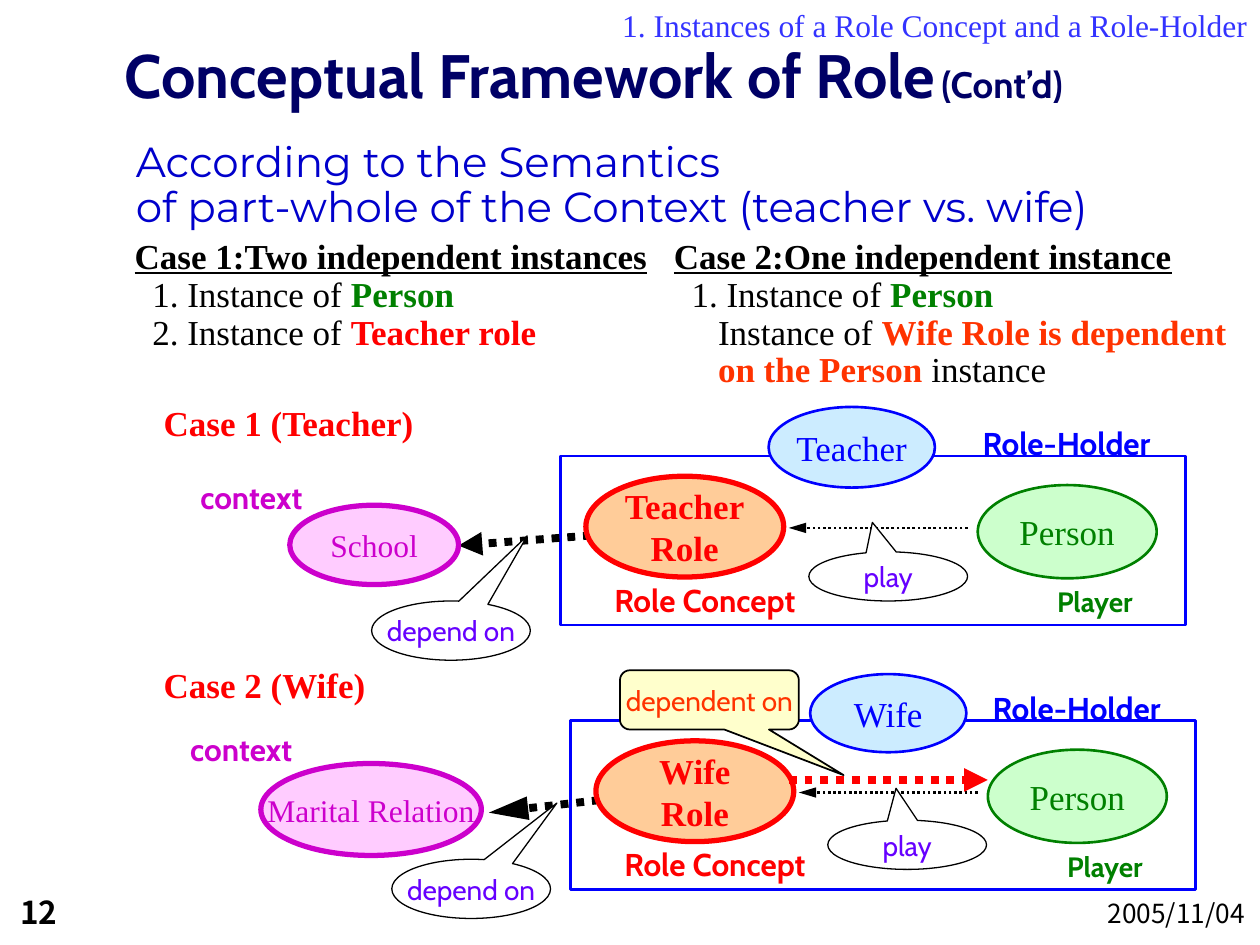
from lxml import etree
from pptx import Presentation
from pptx.dml.color import RGBColor
from pptx.enum import dml, shapes, text
from pptx.oxml import ns
from pptx.util import Inches, Pt

COLORS = {
    "black": "000000", "white": "FFFFFF", "title": "000066", "shadow": "808080",
    "heading": "0000CC", "section": "3333FF", "blue": "0000FF", "sky": "CCECFF",
    "red": "FF0000", "orange": "FF3300", "peach": "FFCC99",
    "green": "008000", "mint": "CCFFCC", "magenta": "CC00CC", "pink": "FFCCFF",
    "violet": "6600FF", "cream": "FFFFCC",
}
SERIF, SANS, HEADING, NUMBER = "Times New Roman", "Cabin", "Montserrat", "Noto Sans CJK JP"
MARGINS = (0.1, 0.05, 0.1, 0.05)
SHAPE = shapes.MSO_SHAPE
ALIGN = text.PP_ALIGN
MIDDLE = text.MSO_ANCHOR.MIDDLE


def rgb(name):
    return RGBColor.from_string(COLORS[name])


def add_run(paragraph, words, size, font, color, bold=False, underline=False):
    run = paragraph.add_run()
    run.text = words
    run.font.size = Pt(size)
    run.font.name = font
    run.font.bold = bold
    run.font.underline = underline
    run.font.color.rgb = rgb(color)
    return run


def format_frame(frame, margins=MARGINS, wrap=True, anchor=None):
    frame.word_wrap = wrap
    frame.auto_size = text.MSO_AUTO_SIZE.NONE
    frame.vertical_anchor = anchor or text.MSO_ANCHOR.TOP
    (frame.margin_left, frame.margin_top,
     frame.margin_right, frame.margin_bottom) = map(Inches, margins)


def add_text(slide, box, paragraphs, align=ALIGN.LEFT, spacing=None, **frame_options):
    """Each paragraph is (indent in inches, list of run settings)."""
    frame = slide.shapes.add_textbox(*map(Inches, box)).text_frame
    format_frame(frame, **frame_options)
    for index, (indent, runs) in enumerate(paragraphs):
        paragraph = frame.add_paragraph() if index else frame.paragraphs[0]
        paragraph.alignment = align
        paragraph.line_spacing = spacing
        if indent:
            paragraph._p.get_or_add_pPr().set("marL", str(Inches(indent)))
        for run in runs:
            add_run(paragraph, *run)


def add_node(slide, kind, box, fill, line, width, lines=(), style=(), adjustments=()):
    node = slide.shapes.add_shape(kind, *map(Inches, box))
    node.shadow.inherit = False
    for index, value in enumerate(adjustments):
        node.adjustments[index] = value
    if fill:
        node.fill.solid()
        node.fill.fore_color.rgb = rgb(fill)
    else:
        node.fill.background()
    node.line.color.rgb = rgb(line)
    node.line.width = Pt(width)
    format_frame(node.text_frame, wrap=False, anchor=MIDDLE)
    paragraph = node.text_frame.paragraphs[0]
    paragraph.alignment = ALIGN.CENTER
    for index, words in enumerate(lines):
        if index:
            paragraph.add_line_break()
        add_run(paragraph, words, *style)


def add_arrow(slide, start, end, color, width, length="med"):
    arrow = slide.shapes.add_connector(
        shapes.MSO_CONNECTOR.STRAIGHT, *map(Inches, (*start, *end)))
    arrow.line.color.rgb = rgb(color)
    arrow.line.width = Pt(width)
    arrow.line.dash_style = dml.MSO_LINE.ROUND_DOT
    etree.SubElement(arrow.line._get_or_add_ln(), ns.qn("a:tailEnd"),
                     type="triangle", w="med", len=length)
    etree.SubElement(arrow._element.spPr, ns.qn("a:effectLst"))


def add_title(slide, box):
    title = slide.shapes.title
    title.left, title.top, title.width, title.height = map(Inches, box)
    format_frame(title.text_frame, (0.12, 0.12, 0.12, 0), anchor=MIDDLE)
    paragraph = title.text_frame.paragraphs[0]
    paragraph.alignment = ALIGN.LEFT
    for words, size in (("Conceptual Framework of Role", 35), (" ", 15), ("(Cont’d)", 21)):
        run = add_run(paragraph, words, size, SANS, "title", True)
        # Soft offset behind the letters
        effects = etree.Element(ns.qn("a:effectLst"))
        shadow = etree.SubElement(effects, ns.qn("a:outerShdw"), dist="25400", dir="2700000")
        etree.SubElement(shadow, ns.qn("a:srgbClr"), val=COLORS["shadow"])
        run._r.rPr.find(ns.qn("a:solidFill")).addnext(effects)


def add_summary(slide, box, heading, items):
    """Underlined heading with indented lines; each item is (indent, pieces)."""
    paragraphs = [(0, [(heading, 20, SERIF, "black", True, True)])]
    for indent, pieces in items:
        paragraphs.append((indent, [(words, 20, SERIF, color, color != "black")
                                    for words, color in pieces]))
    add_text(slide, box, paragraphs, spacing=0.9)


def add_case(slide, left, top, case):
    """Role diagram; all parts are offset from the corner of the blue frame."""
    def place(x, y, *size):
        return (left + x, top + y, *size)

    def label(words, box, size, color, align=ALIGN.CENTER, font=SANS, **options):
        add_text(slide, place(*box), [(0, [(words, size, font, color, True)])],
                 align, **options)

    # Frame and labels
    add_node(slide, SHAPE.RECTANGLE, place(0, 0, 4.96, 1.34), None, "blue", 1.5)
    label("Role Concept", (0.08, 0.94, 2.13, 0.4), 18, "red")
    label("Player", (3.79, 0.97, 0.9, 0.37), 16, "green", wrap=False)
    label("Role-Holder", (3.18, -0.3, 1.67, 0.4), 18, "blue", wrap=False)
    label("context", (*case["context_label"], 0.96, 0.3), 18, "magenta", ALIGN.LEFT,
          margins=(0, 0, 0, 0), wrap=False)
    label(case["heading"], (*case["heading_at"], 2.28, 0.44), 20, "red", ALIGN.LEFT, SERIF)

    # Relations
    start, end, length = case["depend_arrow"]
    add_arrow(slide, place(*start), place(*end), "black", 4.5, length)
    add_arrow(slide, place(3.23, 0.57), place(1.81, 0.57), "black", 1.5, "lg")
    for words, x, y, height, tip in case["callouts"]:
        add_node(slide, SHAPE.OVAL_CALLOUT, place(x, y, 1.26, height), "white", "black",
                 0.75, [words], (16, SANS, "violet"), tip)

    # Concepts
    ovals = (
        ((0.2, 0.16, 1.57, 0.8), "peach", "red", 3, [case["holder"], "Role"], 20, True),
        ((3.31, 0.23, 1.42, 0.74), "mint", "green", 1.5, ["Person"], 20, False),
        (case["context_box"], "pink", "magenta", 3, [case["context"]], 18, False),
        (case["holder_box"], "sky", "blue", 1.5, [case["holder"]], 20, False),
    )
    for box, fill, color, width, lines, size, bold in ovals:
        add_node(slide, SHAPE.OVAL, place(*box), fill, color, width, lines,
                 (size, SERIF, color, bold))


def add_dependency(slide, left, top):
    """Wife role depending on the person, relative to the frame corner."""
    add_node(slide, SHAPE.ROUNDED_RECTANGULAR_CALLOUT, (left + 0.39, top - 0.4, 1.42, 0.47),
             "cream", "black", 1, ["dependent on"], (16, SANS, "orange"),
             (0.75, 1.27, 0.17))
    add_arrow(slide, (left + 1.73, top + 0.47), (left + 3.31, top + 0.47), "red", 4.5)


TEACHER = {
    "heading": "Case 1 (Teacher)", "heading_at": (-3.25, -0.48),
    "holder": "Teacher", "holder_box": (1.65, -0.39, 1.32, 0.64),
    "context": "School", "context_box": (-2.15, 0.39, 1.34, 0.63),
    "context_label": (-2.86, 0.17),
    "depend_arrow": ((0.24, 0.63), (-0.81, 0.71), "med"),
    "callouts": [("play", 1.97, 0.76, 0.39, (-0.1, -1.1)),
                 ("depend on", -1.5, 1.15, 0.47, (0.48, -1.6))],
}
WIFE = {
    "heading": "Case 2 (Wife)", "heading_at": (-3.33, -0.5),
    "holder": "Wife", "holder_box": (1.9, -0.37, 1.24, 0.62),
    "context": "Marital Relation", "context_box": (-2.46, 0.34, 1.75, 0.73),
    "context_label": (-3.02, 0.07),
    "depend_arrow": ((0.23, 0.63), (-0.65, 0.73), "lg"),
    "callouts": [("play", 2.04, 0.79, 0.39, (-0.07, -1.15)),
                 ("depend on", -1.42, 1.1, 0.47, (0.54, -1.45))],
}


def main():
    presentation = Presentation()
    presentation.slide_width, presentation.slide_height = Inches(10), Inches(7.5)
    slide = presentation.slides.add_slide(presentation.slide_layouts[5])

    # Headings
    add_title(slide, (0.87, 0.13, 9.12, 0.79))
    add_text(slide, (2.68, 0, 7.32, 0.4),
             [(0, [("1. Instances of a Role Concept and a Role-Holder", 18, SERIF, "section")])],
             ALIGN.RIGHT)
    add_text(slide, (0.98, 1.07, 8.68, 0.82),
             [(0, [(words, 24, HEADING, "heading")]) for words in (
                 "According to the Semantics",
                 "of part-whole of the Context (teacher vs. wife)")], spacing=0.9)

    # Summaries of the two cases
    person = (0.14, [("1. Instance of ", "black"), ("Person", "green")])
    add_summary(slide, (0.97, 1.85, 4.29, 1), "Case 1:Two independent instances", [
        person, (0.14, [("2. Instance of ", "black"), ("Teacher role", "red")])])
    add_summary(slide, (5.25, 1.85, 4.75, 1.3), "Case 2:One independent instance", [
        person, (0.35, [("Instance of ", "black"), ("Wife Role is dependent", "orange")]),
        (0.35, [("on the Person", "orange"), (" instance", "black")])])

    # Diagrams
    add_case(slide, 4.45, 3.62, TEACHER)
    add_case(slide, 4.53, 5.72, WIFE)
    add_dependency(slide, 4.53, 5.72)

    # Page number and date
    footer = {"margins": (0.12, 0, 0.12, 0.12), "anchor": MIDDLE}
    add_text(slide, (0.04, 7.14, 0.9, 0.32), [(0, [("12", 18, NUMBER, "black", True)])], **footer)
    add_text(slide, (7.92, 7.11, 2.08, 0.39), [(0, [("2005/11/04", 15, NUMBER, "black")])],
             ALIGN.RIGHT, **footer)
    presentation.save("out.pptx")


if __name__ == "__main__":
    main()
